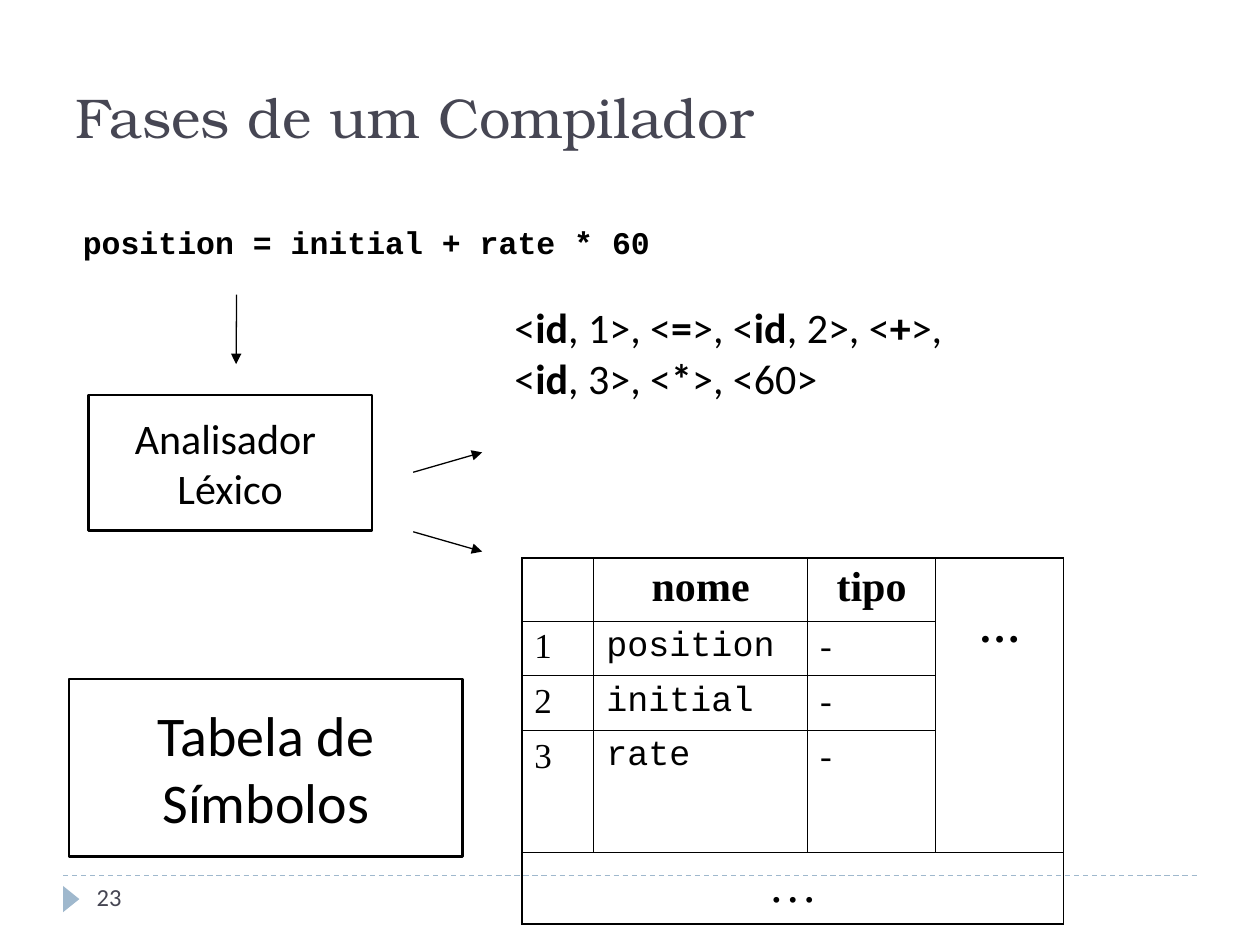
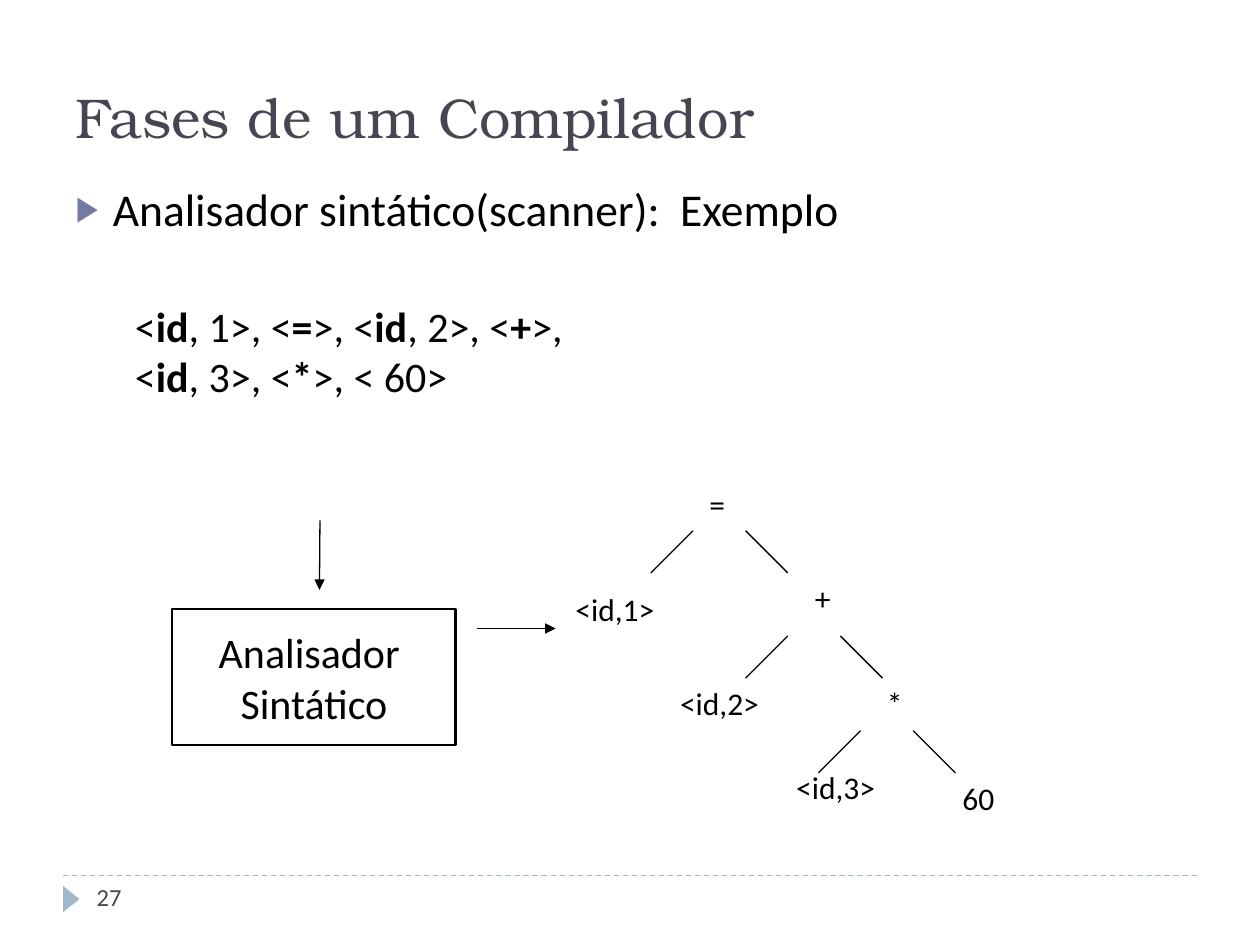
from lxml import etree
from pptx import Presentation
from pptx.dml.color import RGBColor
from pptx.enum.dml import MSO_LINE
from pptx.enum.shapes import MSO_CONNECTOR, MSO_SHAPE
from pptx.enum.text import MSO_ANCHOR, MSO_AUTO_SIZE, PP_ALIGN
from pptx.oxml.ns import qn
from pptx.util import Cm, Pt

LEFT, CENTER = PP_ALIGN.LEFT, PP_ALIGN.CENTER
MIDDLE = MSO_ANCHOR.MIDDLE
STRAIGHT = MSO_CONNECTOR.STRAIGHT
BLACK, WHITE, SLATE, BAND, BULLET = "000000", "FFFFFF", "464653", "9FB8CD", "727CA3"
SANS, MONO, SERIF, TITLE_FONT = "Calibri", "Courier New", "Times New Roman", "TeX Gyre Bonum"
NO_STYLE = "{2D5ABB26-0587-4C30-8999-92F81FD0307C}"

# Content; in token lists every second part between bars is bold
TITLE = "Fases de um Compilador"
SOURCE_LINE = "position = initial + rate * 60"
LEXER_TOKENS = ["<|id|, 1>, <|=|>, <|id|, 2>, <|+|>,", "<|id|, 3>, <|*|>, <60>"]
PARSER_TOKENS = ["<|id|, 1>, <|=|>, <|id|, 2>, <|+|>, <|id|, 3>, <|*|>, < 60>"]
LEXER = ["Analisador ", "Léxico"]
PARSER = ["Analisador ", "Sintático"]
SYMBOL_TABLE = ["Tabela de Símbolos"]
PARSER_TOPIC = "Analisador sintático(scanner):  Exemplo"

SYMBOL_HEADER = ["", "nome", "tipo", "…"]
SYMBOLS = [("1", "position", "-"), ("2", "initial", "-"), ("3", "rate", "-")]
SYMBOL_COLS = [1.45, 4.31, 2.58, 2.58]
SYMBOL_ROWS = [1.27, 1.1, 1.09, 2.46, 1.44]

# Syntax tree: label, left, top, width
TREE_LABELS = [
    ("=", 14.05, 9.65, 0.85), ("<id,1>", 11.35, 11.76, 2.3),
    ("+", 16.18, 11.55, 0.85), ("<id,2>", 13.46, 13.67, 2.3),
    ("*", 17.63, 13.67, 0.85), ("<id,3>", 15.8, 15.36, 2.3),
    ("60", 19.15, 15.57, 1.3),
]
# Middle of each operator's pair of branches, and their top
TREE_FORKS = [(14.5, 10.7), (16.41, 12.82), (17.88, 14.73)]
FORK_GAP, BRANCH = 0.53, 0.85


def rgb(value):
    return RGBColor.from_string(value)


def style(p, size, font=SANS, color=BLACK, align=LEFT, bold=False):
    p.alignment = align
    p.font.size = Pt(size)
    p.font.name = font
    p.font.bold = bold
    p.font.color.rgb = rgb(color)


def fill_text(tf, lines, size, **look):
    for i, line in enumerate(lines):
        p = tf.paragraphs[0] if i == 0 else tf.add_paragraph()
        style(p, size, **look)
        for j, part in enumerate(line.split("|")):
            r = p.add_run()
            r.text = part
            if j % 2:
                r.font.bold = True


def add_text(s, box, lines, size, wrap=True, **look):
    tf = s.shapes.add_textbox(*map(Cm, box)).text_frame
    tf.word_wrap = wrap
    fill_text(tf, lines, size, **look)


def add_box(s, box, lines, size, wrap=False):
    sp = s.shapes.add_shape(MSO_SHAPE.RECTANGLE, *map(Cm, box))
    sp.shadow.inherit = False
    sp.fill.solid()
    sp.fill.fore_color.rgb = rgb(WHITE)
    sp.line.color.rgb = rgb(BLACK)
    sp.line.width = Pt(1.5)
    sp.text_frame.word_wrap = wrap
    sp.text_frame.vertical_anchor = MIDDLE
    fill_text(sp.text_frame, lines, size, align=CENTER)


def add_line(s, x1, y1, x2, y2, color=BLACK, arrow=False):
    cx = s.shapes.add_connector(STRAIGHT, Cm(x1), Cm(y1), Cm(x2), Cm(y2))
    cx.line.color.rgb = rgb(color)
    cx.line.width = Pt(0.75)
    if arrow:
        etree.SubElement(cx.line._get_or_add_ln(), qn("a:tailEnd"), type="triangle")
    etree.SubElement(cx._element.spPr, qn("a:effectLst"))
    return cx


def place(sp, box):
    sp.left, sp.top, sp.width, sp.height = map(Cm, box)
    sp.text_frame.auto_size = MSO_AUTO_SIZE.NONE


def new_slide(prs, layout, number):
    s = prs.slides.add_slide(prs.slide_layouts[layout])
    # Footer rule, marker and page number
    add_line(s, 1.27, 17.65, 24.13, 17.65, BAND).line.dash_style = MSO_LINE.DASH
    marker = s.shapes.add_shape(MSO_SHAPE.ISOSCELES_TRIANGLE,
                                Cm(1.17), Cm(17.96), Cm(0.53), Cm(0.33))
    marker.rotation = 90
    marker.shadow.inherit = False
    marker.fill.solid()
    marker.fill.fore_color.rgb = rgb(BAND)
    marker.line.fill.background()
    add_text(s, (1.7, 17.65, 5.51, 1.02), [number], 14, color=SLATE)
    # Title
    title = s.shapes.title
    place(title, (1.27, 0.76, 22.86, 3.18))
    title.text_frame.vertical_anchor = MIDDLE
    fill_text(title.text_frame, [TITLE], 32, font=TITLE_FONT, color=SLATE)
    return s


def set_borders(cell, edges):
    tc_pr = cell._tc.get_or_add_tcPr()
    for side, outer in edges.items():
        width = Pt(1.08 if outer else 0.45)
        ln = etree.SubElement(tc_pr, qn("a:ln" + side), w=str(int(width)))
        solid = etree.SubElement(ln, qn("a:solidFill"))
        etree.SubElement(solid, qn("a:srgbClr"), val=BLACK)
    cell.fill.background()


def add_symbol_table(s, left, top):
    rows, cols = len(SYMBOL_ROWS), len(SYMBOL_COLS)
    table = s.shapes.add_table(rows, cols, Cm(left), Cm(top), Cm(sum(SYMBOL_COLS)),
                               Cm(sum(SYMBOL_ROWS))).table
    table._tbl.tblPr.find(qn("a:tableStyleId")).text = NO_STYLE
    table.first_row = table.horz_banding = False
    for column, width in zip(table.columns, SYMBOL_COLS):
        column.width = Cm(width)
    for row, height in zip(table.rows, SYMBOL_ROWS):
        row.height = Cm(height)
    # Last column and last row each hold one ellipsis
    table.cell(0, cols - 1).merge(table.cell(rows - 2, cols - 1))
    table.cell(rows - 1, 0).merge(table.cell(rows - 1, cols - 1))
    table.cell(0, cols - 1).margin_top = Cm(0.95)

    for c, text in enumerate(SYMBOL_HEADER):
        if text:
            fill_text(table.cell(0, c).text_frame, [text], 24,
                      font=SERIF, align=CENTER, bold=True)
    for r, symbol in enumerate(SYMBOLS, 1):
        for c, text in enumerate(symbol):
            fill_text(table.cell(r, c).text_frame, [text], 20,
                      font=MONO if c == 1 else SERIF)
    fill_text(table.cell(rows - 1, 0).text_frame, ["…"], 28, font=SERIF, align=CENTER)

    for r in range(rows):
        for c in range(cols):
            cell = table.cell(r, c)
            if not cell.is_spanned:
                right = c + (cell.span_width if cell.is_merge_origin else 1)
                bottom = r + (cell.span_height if cell.is_merge_origin else 1)
                set_borders(cell, {"L": c == 0, "R": right == cols,
                                   "T": r == 0, "B": bottom == rows})


def add_bullet(p):
    p_pr = p._p.get_or_add_pPr()
    p_pr.set("marL", str(Cm(0.75)))
    p_pr.set("indent", str(-Cm(0.75)))
    color = etree.SubElement(p_pr, qn("a:buClr"))
    etree.SubElement(color, qn("a:srgbClr"), val=BULLET)
    etree.SubElement(p_pr, qn("a:buSzPct"), val="76000")
    etree.SubElement(p_pr, qn("a:buChar"), char="▶")


def lexer_slide(prs):
    s = new_slide(prs, 5, "23")
    add_text(s, (1.42, 4.37, 11.94, 1.02), [SOURCE_LINE], 18, wrap=False,
             font=MONO, bold=True)
    add_text(s, (10.12, 5.96, 11.71, 4.32), LEXER_TOKENS, 24)
    add_symbol_table(s, 10.52, 11.25)
    add_box(s, (1.39, 13.69, 7.94, 3.58), SYMBOL_TABLE, 32, wrap=True)
    add_box(s, (1.78, 7.96, 5.72, 2.74), LEXER, 24)
    add_line(s, 4.77, 5.94, 4.76, 7.34, arrow=True)
    add_line(s, 8.33, 9.52, 9.72, 9.12, arrow=True)
    add_line(s, 8.33, 10.72, 9.72, 11.12, arrow=True)


def parser_slide(prs):
    s = new_slide(prs, 1, "27")
    body = s.placeholders[1]
    place(body, (1.27, 3.53, 23.62, 13.59))
    p = body.text_frame.paragraphs[0]
    p.space_before = Pt(0)
    add_bullet(p)
    fill_text(body.text_frame, [PARSER_TOPIC], 26)

    add_text(s, (2.47, 5.93, 10.54, 4.32), PARSER_TOKENS, 24)
    add_box(s, (3.47, 12.28, 5.72, 2.74), PARSER, 24)
    add_line(s, 6.45, 10.49, 6.44, 11.89, arrow=True)
    add_line(s, 9.62, 12.67, 11.2, 12.67, arrow=True)
    # Syntax tree
    for label, left, top, width in TREE_LABELS:
        add_text(s, (left, top, width, 1.02), [label], 18, wrap=False)
    for x, y in TREE_FORKS:
        for side in (-1, 1):
            start = x + side * FORK_GAP
            add_line(s, start, y, start + side * BRANCH, y + BRANCH)


def main():
    prs = Presentation()
    prs.slide_width, prs.slide_height = Cm(25.4), Cm(19.05)
    lexer_slide(prs)
    parser_slide(prs)
    prs.save("out.pptx")


if __name__ == "__main__":
    main()
